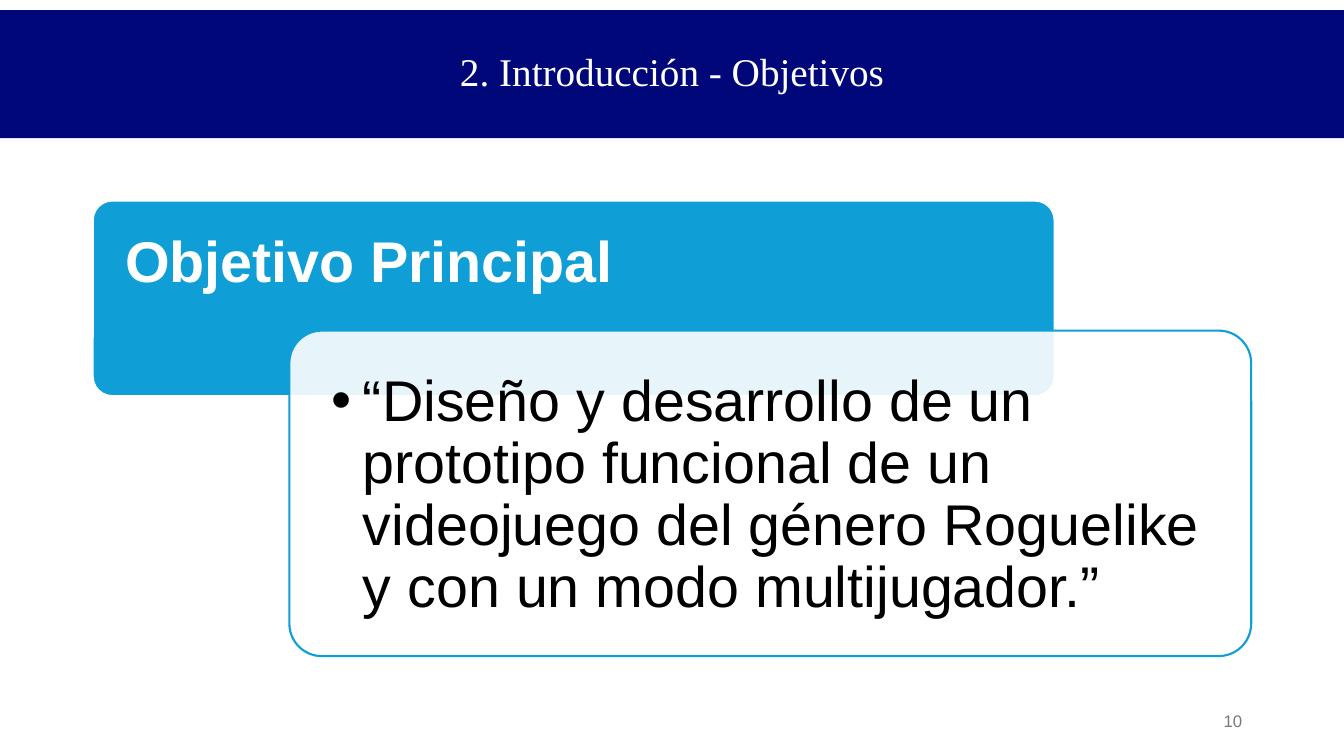
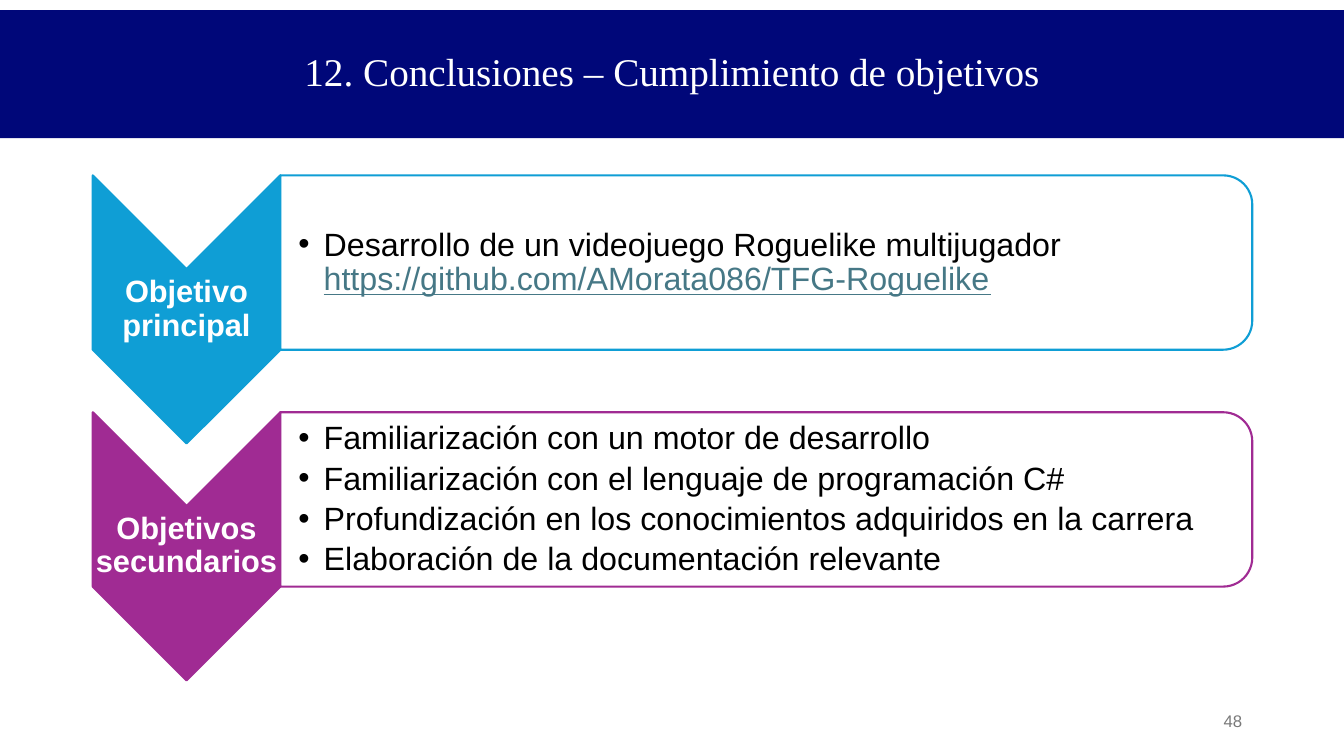
from dataclasses import dataclass

from lxml.etree import SubElement
from pptx import Presentation
from pptx.dml.color import RGBColor
from pptx.enum.shapes import MSO_SHAPE
from pptx.enum.text import MSO_ANCHOR, PP_ALIGN
from pptx.oxml.ns import qn
from pptx.util import Inches, Pt


@dataclass(frozen=True)
class Theme:
    """Colours, fonts and type sizes of the deck."""
    navy: str = "000779"
    blue: str = "0F9ED5"
    purple: str = "A02B93"
    white: str = "FFFFFF"
    black: str = "000000"
    grey: str = "797979"
    link: str = "467886"
    title_font: str = "Times New Roman"
    body_font: str = "Arial"
    title_size: int = 28
    card_size: float = 41
    list_size: float = 23
    label_size: float = 22
    number_size: float = 12
    line_width: float = 1.5
    panel_opacity: int = 90


THEME = Theme()
SLIDE_WIDTH, SLIDE_HEIGHT = 13.33, 7.5
DEFAULT_INSETS = (0.1, 0.05, 0.1, 0.05)


class Deck:
    """Holds the presentation, its style and the current slide."""

    def __init__(self, theme):
        self.theme = theme
        self.presentation = Presentation()
        self.presentation.slide_width = Inches(SLIDE_WIDTH)
        self.presentation.slide_height = Inches(SLIDE_HEIGHT)
        self.slide = None

    def start_slide(self, title, number):
        """Add a slide with the title band and the page number."""
        theme = self.theme
        self.slide = self.presentation.slides.add_slide(self.presentation.slide_layouts[6])
        self.shape(MSO_SHAPE.RECTANGLE, (0, 0.1, SLIDE_WIDTH, 1.27), theme.navy)
        self.text((2.29, 0.13, 8.75, 1.2), [title], theme.title_size, theme.white,
                  align=PP_ALIGN.CENTER, font=theme.title_font)
        self.text((9.42, 6.95, 3, 0.4), [str(number)], theme.number_size, theme.grey,
                  align=PP_ALIGN.RIGHT, line_spacing=1.0)

    def shape(self, kind, box, fill, line=None, opacity=None, radius=None, quarter_turn=False):
        """Draw a preset shape; box is what shows, also after a quarter turn."""
        left, top, width, height = box
        if quarter_turn:
            shift = (width - height) / 2
            left, top, width, height = left + shift, top - shift, height, width
        shape = self.slide.shapes.add_shape(kind, *map(Inches, (left, top, width, height)))
        shape.shadow.inherit = False
        shape.rotation = 90 if quarter_turn else 0
        if radius is not None:
            shape.adjustments[0] = radius
        shape.fill.solid()
        shape.fill.fore_color.rgb = RGBColor.from_string(fill)
        if opacity is not None:
            color = shape.fill._xPr.find(".//" + qn("a:srgbClr"))
            SubElement(color, qn("a:alpha"), val=str(opacity * 1000))
        if line:
            shape.line.color.rgb = RGBColor.from_string(line)
            shape.line.width = Pt(self.theme.line_width)
        else:
            shape.line.fill.background()

    def text(self, box, paragraphs, size, color, bold=False, font=None, align=PP_ALIGN.LEFT,
             anchor=MSO_ANCHOR.MIDDLE, insets=DEFAULT_INSETS, line_spacing=0.9,
             space_after=0, bullet_indent=None):
        """Write paragraphs; each is a string or a list of (text, format) lines."""
        frame = self.slide.shapes.add_textbox(*map(Inches, box)).text_frame
        frame_format = {"word_wrap": True, "vertical_anchor": anchor}
        sides = ("margin_left", "margin_top", "margin_right", "margin_bottom")
        frame_format.update(zip(sides, map(Inches, insets)))
        self.apply(frame, frame_format)
        for index, content in enumerate(paragraphs):
            paragraph = frame.add_paragraph() if index else frame.paragraphs[0]
            if bullet_indent:
                self.bullet(paragraph, bullet_indent)
            self.apply(paragraph, {"alignment": align, "line_spacing": line_spacing,
                                   "space_after": Pt(space_after)})
            lines = [(content, {})] if isinstance(content, str) else content
            for line_index, (words, extra) in enumerate(lines):
                if line_index:
                    paragraph.add_line_break()
                run = paragraph.add_run()
                run.text = words
                run_format = {"name": font or self.theme.body_font, "size": Pt(size),
                              "bold": bold, "color": color, **extra}
                run.font.color.rgb = RGBColor.from_string(run_format.pop("color"))
                self.apply(run.font, run_format)

    @staticmethod
    def apply(target, values):
        for name, value in values.items():
            setattr(target, name, value)

    @staticmethod
    def bullet(paragraph, indent):
        properties = paragraph._p.get_or_add_pPr()
        properties.set("marL", str(Inches(indent)))
        properties.set("indent", str(-Inches(indent)))
        SubElement(properties, qn("a:buFont"), typeface="Arial")
        SubElement(properties, qn("a:buChar"), char="•")

    def goal_card(self, heading, statement):
        """A heading block with an overlapping, see-through statement card."""
        theme = self.theme
        self.shape(MSO_SHAPE.ROUNDED_RECTANGLE, (0.92, 1.99, 9.54, 1.94), theme.blue,
                   theme.white, radius=0.1)
        self.text((0.92, 1.99, 9.54, 1.29), [heading], theme.card_size, theme.white, bold=True,
                  anchor=MSO_ANCHOR.TOP, insets=(0.32, 0.32, 0.32, 0.17))
        self.shape(MSO_SHAPE.ROUNDED_RECTANGLE, (2.87, 3.28, 9.54, 3.23), theme.white,
                   theme.blue, opacity=theme.panel_opacity, radius=0.1)
        self.text((2.97, 3.37, 9.36, 3.04), [statement], theme.card_size, theme.black,
                  anchor=MSO_ANCHOR.TOP, insets=(0.32,) * 4, bullet_indent=0.31)

    def chevron_row(self, top, color, label, items):
        """A downward chevron with its label and a bulleted panel beside it."""
        theme = self.theme
        left, width = 0.92, 1.86
        panel_left = left + width
        self.shape(MSO_SHAPE.CHEVRON, (left, top, width, 2.66), color, color, quarter_turn=True)
        self.text((left, top + width / 2, width, 0.8), [label], theme.label_size, theme.white,
                  bold=True, align=PP_ALIGN.CENTER, insets=(0.02,) * 4)
        self.shape(MSO_SHAPE.ROUND_2_SAME_RECTANGLE, (panel_left, top, 9.64, 1.73), theme.white,
                   color, opacity=theme.panel_opacity, quarter_turn=True)
        self.text((panel_left, top + 0.09, 9.55, 1.56), items, theme.list_size, theme.black,
                  insets=(0.18, 0.02, 0.02, 0.02), space_after=4, bullet_indent=0.25)


def main():
    deck = Deck(THEME)

    # Main goal
    deck.start_slide("2. Introducción - Objetivos", 10)
    deck.goal_card("Objetivo Principal",
                   "“Diseño y desarrollo de un prototipo funcional de un videojuego "
                   "del género Roguelike y con un modo multijugador.”")

    # Goals reached
    deck.start_slide("12. Conclusiones – Cumplimiento de objetivos", 48)
    link_format = {"color": THEME.link, "underline": True}
    rows = [
        (THEME.blue, "Objetivo principal", [
            [("Desarrollo de un videojuego Roguelike multijugador", {}),
             ("https://github.com/AMorata086/TFG-Roguelike", link_format)],
        ]),
        (THEME.purple, "Objetivos secundarios", [
            "Familiarización con un motor de desarrollo",
            "Familiarización con el lenguaje de programación C#",
            "Profundización en los conocimientos adquiridos en la carrera",
            "Elaboración de la documentación relevante",
        ]),
    ]
    first_top, row_step = 1.74, 2.35
    for index, row in enumerate(rows):
        deck.chevron_row(first_top + index * row_step, *row)

    deck.presentation.save("out.pptx")


if __name__ == "__main__":
    main()
